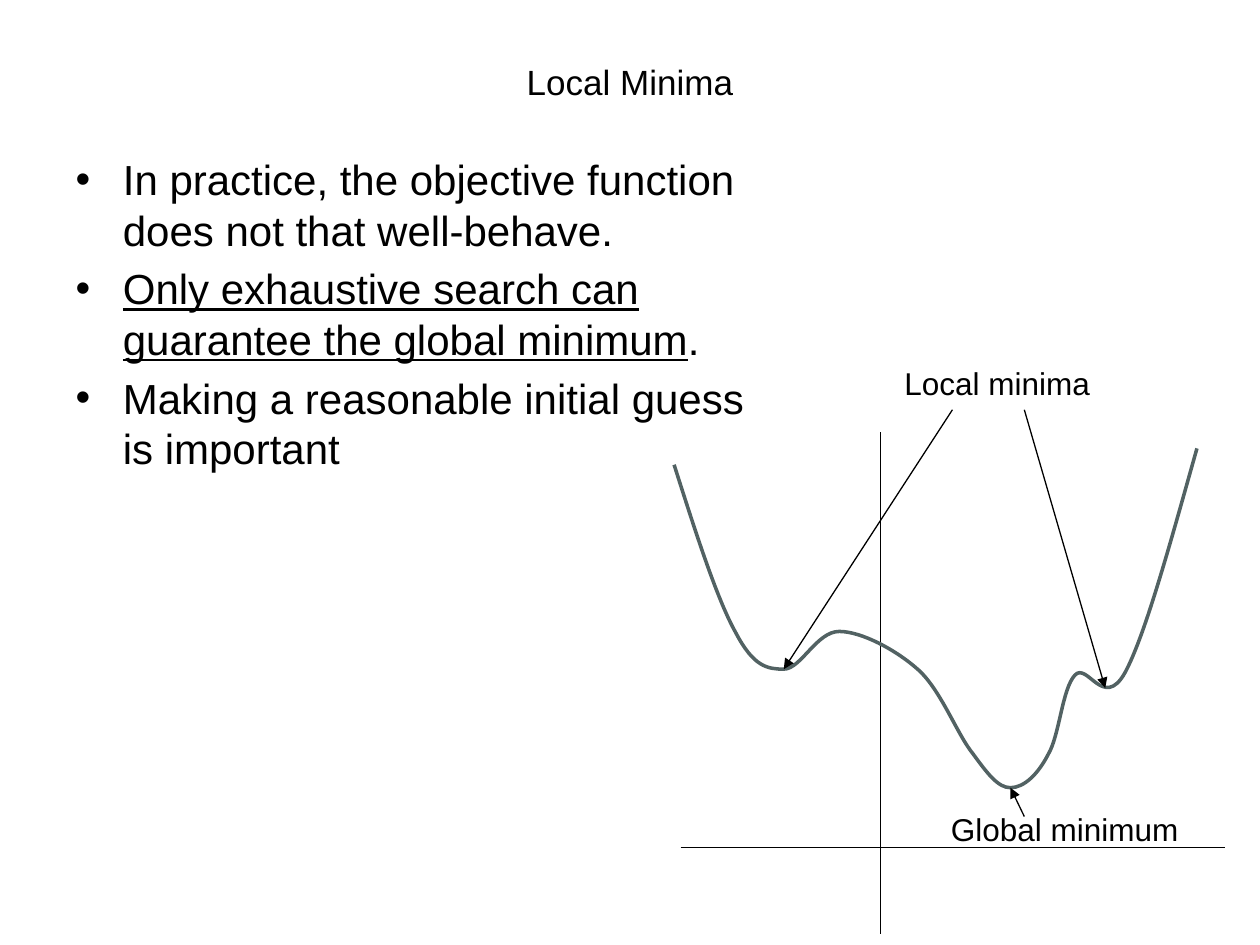
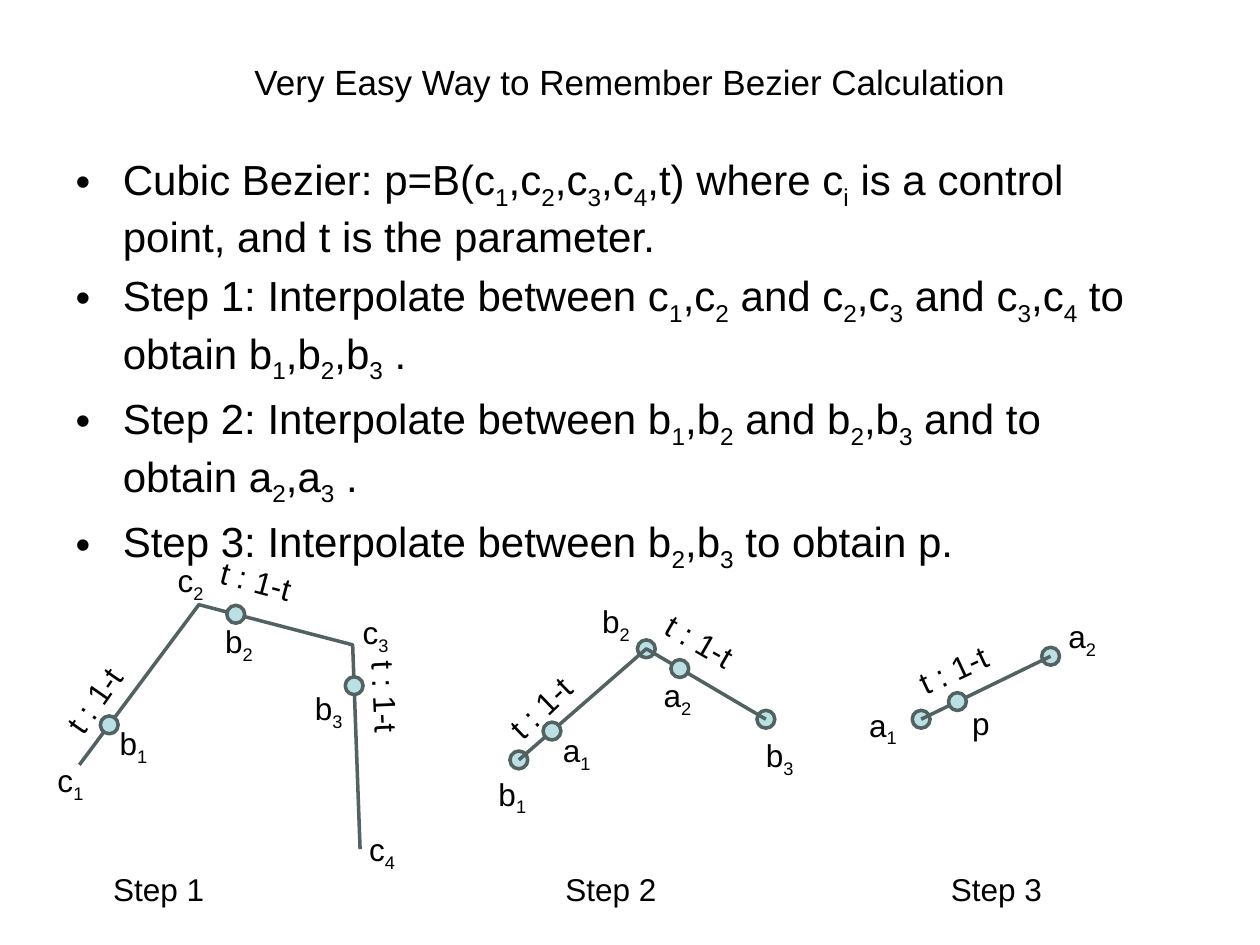
from lxml import etree
from pptx import Presentation
from pptx.dml.color import RGBColor
from pptx.enum.shapes import MSO_CONNECTOR as Connector, MSO_SHAPE as Preset
from pptx.enum.text import MSO_ANCHOR as Anchor, MSO_AUTO_SIZE as AutoSize, PP_ALIGN as Align
from pptx.oxml.ns import qn
from pptx.util import Cm, Pt

COLORS = {"text": "000000", "curve": "526263", "dot": "BBE0E3"}
FONT = "Arial"
DOT_SIZE = 0.36
LABEL_HEIGHT = 1.02
RATIO = "t : 1-t"
LABEL_WIDTHS = {"c": 1.07, "b": 1.12, "a": 1.12, "p": 0.86, "t": 1.98, "S": 2.36}


def rgb(name):
    return RGBColor.from_string(COLORS[name])


def split_markup(line):
    """Yield (text, underlined, subscript); ~ toggles underline, _ lowers one character."""
    for index, section in enumerate(line.split("~")):
        plain, *lowered = section.split("_")
        pieces = [(plain, False)]
        for part in lowered:
            pieces += [(part[0], True), (part[1:], False)]
        for text, subscript in pieces:
            if text:
                yield text, index % 2 == 1, subscript


def write(frame, lines, size=18, align=None, color="text"):
    for index, line in enumerate(lines):
        paragraph = frame.add_paragraph() if index else frame.paragraphs[0]
        if index == 0:
            paragraph.space_before = Pt(0)
        if align is not None:
            paragraph.alignment = align
        for text, underlined, subscript in split_markup(line):
            run = paragraph.add_run()
            run.text = text
            run.font.name = FONT
            run.font.size = Pt(size)
            run.font.color.rgb = rgb(color)
            if underlined:
                run.font.underline = True
            if subscript:
                run.font._element.set("baseline", "-25000")


def place(shape, left, top, width, height):
    shape.left, shape.top, shape.width, shape.height = map(Cm, (left, top, width, height))


def add_topic(deck, title, bullets, body_width, right_inset=0.25):
    """Slide with the shared title band and bullet list."""
    slide = deck.slides.add_slide(deck.slide_layouts[1])
    heading, body = slide.shapes.title, slide.placeholders[1]
    place(heading, 1.27, 0.76, 22.86, 1.78)
    heading.text_frame.vertical_anchor = Anchor.MIDDLE
    write(heading.text_frame, [title], size=20, align=Align.CENTER)
    place(body, 1.27, 2.97, body_width, 14.05)
    body.text_frame.margin_right = Cm(right_inset)
    write(body.text_frame, bullets, size=24)
    for frame in (heading.text_frame, body.text_frame):
        frame.auto_size = AutoSize.NONE
    return slide


class Figure:
    """Drawing area: every position is in cm from its top left corner."""

    def __init__(self, slide, left, top):
        self.shapes, self.left, self.top = slide.shapes, left, top

    def at(self, x, y):
        return Cm(self.left + x), Cm(self.top + y)

    def label(self, text, x, y, width=None, angle=0):
        width = width or LABEL_WIDTHS[text[0]]
        box = self.shapes.add_textbox(*self.at(x, y), Cm(width), Cm(LABEL_HEIGHT))
        box.rotation = angle
        box.text_frame.word_wrap = False
        box.text_frame.auto_size = AutoSize.SHAPE_TO_FIT_TEXT
        write(box.text_frame, [text])

    def line(self, start, end, arrow=False):
        connector = self.shapes.add_connector(Connector.STRAIGHT, *self.at(*start), *self.at(*end))
        connector.line.color.rgb = rgb("text")
        connector.line.width = Pt(0.75)
        if arrow:
            etree.SubElement(connector.line._get_or_add_ln(), qn("a:tailEnd"), type="triangle")
        etree.SubElement(connector._element.spPr, qn("a:effectLst"))

    def outline(self, points):
        start, *others = [self.at(*point) for point in points]
        builder = self.shapes.build_freeform(*start)
        builder.add_line_segments(others, close=False)
        stroke = builder.convert_to_shape()
        stroke.fill.background()
        stroke.line.color.rgb = rgb("curve")
        stroke.line.width = Pt(2)
        stroke.shadow.inherit = False
        return stroke

    def curve(self, points):
        """Turn every three segments of an outline into one cubic Bezier piece."""
        stroke = self.outline(points)
        segments = list(stroke._element.iter(qn("a:lnTo")))
        for first in range(0, len(segments), 3):
            cubic = etree.Element(qn("a:cubicBezTo"))
            segments[first].addprevious(cubic)
            for segment in segments[first:first + 3]:
                cubic.append(segment[0])
                segment.getparent().remove(segment)

    def dot(self, x, y):
        corner = self.at(x - DOT_SIZE / 2, y - DOT_SIZE / 2)
        circle = self.shapes.add_shape(Preset.OVAL, *corner, Cm(DOT_SIZE), Cm(DOT_SIZE))
        circle.fill.solid()
        circle.fill.fore_color.rgb = rgb("dot")
        circle.line.color.rgb = rgb("curve")
        circle.line.width = Pt(2)
        circle.shadow.inherit = False


def draw_objective(slide, left, top):
    """Objective function with its axes and marked minima."""
    plot = Figure(slide, left, top)
    plot.line((0.22, 9.89), (11.19, 9.89))
    plot.line((4.25, 11.62), (4.25, 1.51))
    plot.curve([
        (0.09, 2.17),
        (0.52, 3.52), (0.95, 4.87), (1.33, 5.55),
        (1.69, 6.24), (1.97, 6.29), (2.3, 6.29),
        (2.65, 6.29), (2.96, 5.53), (3.42, 5.53),
        (3.87, 5.53), (4.58, 5.91), (5.02, 6.31),
        (5.47, 6.72), (5.8, 7.61), (6.11, 7.99),
        (6.41, 8.4), (6.62, 8.68), (6.87, 8.68),
        (7.15, 8.68), (7.43, 8.4), (7.63, 8.01),
        (7.86, 7.63), (7.91, 6.69), (8.17, 6.41),
        (8.42, 6.14), (8.75, 7.13), (9.18, 6.36),
        (9.59, 5.6), (10.1, 3.72), (10.63, 1.84),
    ])
    plot.label("Global minimum", 5.42, 9.01, width=5.16)
    plot.label("Local minima", 4.48, 0.01, width=4.29)
    for start, minimum in [((7.15, 9.26), (6.87, 8.68)),
                           ((5.7, 1.06), (2.3, 6.29)),
                           ((7.15, 1.06), (8.78, 6.67))]:
        plot.line(start, minimum, arrow=True)


def draw_step(slide, left, top, caption, caption_x, controls, ratios, labels, ratio_labels,
              dotted_controls=True):
    """One interpolation step: control polygon, interpolated dots and labels."""
    step = Figure(slide, left, top)
    if dotted_controls:
        for point in controls:
            step.dot(*point)
    step.outline(controls)
    for (x1, y1), (x2, y2), t in zip(controls, controls[1:], ratios):
        step.dot(x1 + t * (x2 - x1), y1 + t * (y2 - y1))
    for text, x, y in labels:
        step.label(text, x, y)
    for x, y, angle in ratio_labels:
        step.label(RATIO, x, y, angle=angle)
    step.label(caption, caption_x, 6.42)


def build_local_minima(deck):
    slide = add_topic(deck, "Local Minima", [
        "In practice, the objective function does not that well-behave.",
        "~Only exhaustive search can guarantee the global minimum~.",
        "Making a reasonable initial guess is important",
    ], body_width=14.17)
    draw_objective(slide, 13.5, 7.2)


def build_bezier(deck):
    slide = add_topic(deck, "Very Easy Way to Remember Bezier Calculation", [
        "Cubic Bezier: p=B(c_1,c_2,c_3,c_4,t) where c_i is a control point, "
        "and t is the parameter.",
        "Step 1: Interpolate between c_1,c_2 and c_2,c_3 and c_3,c_4 to obtain b_1,b_2,b_3 .",
        "Step 2: Interpolate between b_1,b_2 and b_2,b_3 and to obtain a_2,a_3 .",
        "Step 3: Interpolate between b_2,b_3 to obtain p.",
    ], body_width=22.86, right_inset=0.95)
    draw_step(
        slide, 0.9, 11, "Step 1", 1.13,
        controls=[(0.7, 4.42), (3.11, 1.19), (6.21, 2), (6.36, 6.12)],
        ratios=[0.25, 0.24, 0.2],
        labels=[("c_1", 0.01, 4.21), ("c_2", 2.43, 0.18), ("c_3", 6.16, 1.24),
                ("c_4", 6.29, 5.61), ("b_1", 1.26, 3.48), ("b_2", 3.39, 1.42),
                ("b_3", 5.2, 2.77)],
        ratio_labels=[(0.01, 2.59, 305), (3.29, 0.2, 15.1), (5.88, 2.56, 87.4)],
        dotted_controls=False)
    draw_step(
        slide, 9.6, 11, "Step 2", 1.55,
        controls=[(0.86, 4.32), (3.43, 2.08), (5.84, 3.5)],
        ratios=[0.26, 0.28],
        labels=[("b_1", 0.2, 4.49), ("b_2", 2.29, 1.01), ("b_3", 5.59, 3.71),
                ("a_1", 1.5, 3.61), ("a_2", 3.53, 2.51)],
        ratio_labels=[(0.31, 2.74, 316.1), (3.53, 1.42, 29.9)])
    draw_step(
        slide, 17.2, 11, "Step 3", 1.72,
        controls=[(1.37, 3.5), (3.98, 2.23)],
        ratios=[0.28],
        labels=[("a_1", 0.07, 3.1), ("a_2", 4.09, 1.32), ("p", 2.15, 3.07)],
        ratio_labels=[(1.04, 1.98, 334.8)])


def main():
    deck = Presentation()
    deck.slide_width, deck.slide_height = Cm(25.4), Cm(19.05)
    build_local_minima(deck)
    build_bezier(deck)
    deck.save("out.pptx")


if __name__ == "__main__":
    main()
